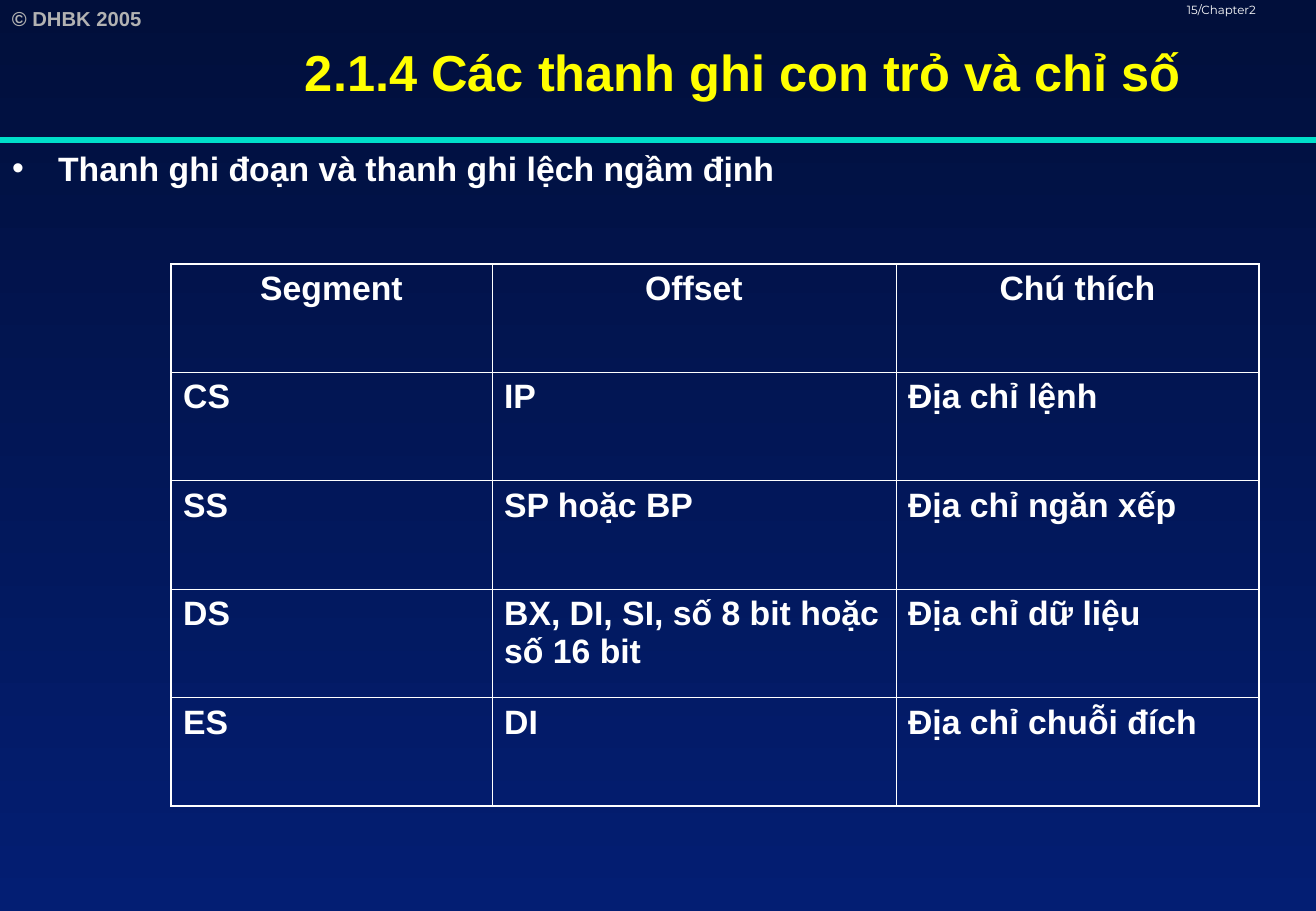
from lxml import etree
from pptx import Presentation
from pptx.dml.color import RGBColor
from pptx.enum.shapes import MSO_CONNECTOR
from pptx.enum.text import MSO_ANCHOR, MSO_AUTO_SIZE, PP_ALIGN
from pptx.oxml.ns import qn
from pptx.util import Pt

PX = 7532
LEFT, CENTER = PP_ALIGN.LEFT, PP_ALIGN.CENTER
TOP, MIDDLE = MSO_ANCHOR.TOP, MSO_ANCHOR.MIDDLE
NO_FIT = MSO_AUTO_SIZE.NONE
STRAIGHT = MSO_CONNECTOR.STRAIGHT

COLORS = {
    "sky_top": "010F3B",
    "sky_bottom": "031E73",
    "rule": "00DFCA",
    "title": "FFFF00",
    "text": "FFFFFF",
    "copyright": "B2B2B2",
}
WIDTH, HEIGHT = 1316, 911
RULE_Y = 140
CONTENT_TOP = 142
TABLE_LEFT, TABLE_TOP, TABLE_HEIGHT = 171, 264, 542
COLUMN_WIDTHS = [321, 404, 363]
OUTER_LINE, INNER_LINE = 1.08, 0.45
REGISTERS = [
    ["Segment", "Offset", "Chú thích"],
    ["CS", "IP", "Địa chỉ lệnh"],
    ["SS", "SP hoặc BP", "Địa chỉ ngăn xếp"],
    ["DS", "BX, DI, SI, số 8 bit hoặc số 16 bit", "Địa chỉ dữ liệu"],
    ["ES", "DI", "Địa chỉ chuỗi đích"],
]


def rgb(name):
    return RGBColor.from_string(COLORS[name])


def place(shape, left, top, width, height):
    shape.left, shape.top = left * PX, top * PX
    shape.width, shape.height = width * PX, height * PX


def write(frame, text, size, color="text", bold=True, align=LEFT, font="Arial"):
    frame.word_wrap = True
    frame.text = text
    para = frame.paragraphs[0]
    para.alignment = align
    para.space_before = Pt(0)
    para.font.name = font
    para.font.size = Pt(size)
    para.font.bold = bold
    para.font.color.rgb = rgb(color)
    return para


def paint_background(page):
    fill = page.background.fill
    fill.gradient()
    fill.gradient_angle = 270
    for stop, name in zip(fill.gradient_stops, ["sky_top", "sky_bottom"]):
        stop.color.rgb = rgb(name)


def add_rule(page):
    rule = page.shapes.add_connector(STRAIGHT, 0, RULE_Y * PX, WIDTH * PX, RULE_Y * PX)
    rule.line.color.rgb = rgb("rule")
    rule.line.width = Pt(3)
    etree.SubElement(rule._element.spPr, qn("a:effectLst"))


def add_label(page, bounds, text, size, **style):
    box = page.shapes.add_textbox(*(value * PX for value in bounds))
    return write(box.text_frame, text, size, **style)


def fill_placeholder(holder, bounds, anchor, text, size, **style):
    place(holder, *bounds)
    frame = holder.text_frame
    frame.auto_size = NO_FIT
    frame.vertical_anchor = anchor
    return write(frame, text, size, **style)


def add_bullet(para, indent):
    props = para._p.get_or_add_pPr()
    props.set("marL", str(indent * PX))
    props.set("indent", str(-indent * PX))
    color = etree.Element(qn("a:buClr"))
    etree.SubElement(color, qn("a:srgbClr"), val=COLORS["text"])
    font = etree.Element(qn("a:buFont"), typeface="Arial")
    mark = etree.Element(qn("a:buChar"), char="•")
    defaults = props.find(qn("a:defRPr"))
    for part in (color, font, mark):
        defaults.addprevious(part)


def add_borders(cell, widths):
    props = cell._tc.get_or_add_tcPr()
    for side, width in widths.items():
        line = etree.SubElement(props, qn("a:ln" + side), w=str(Pt(width)))
        fill = etree.SubElement(line, qn("a:solidFill"))
        etree.SubElement(fill, qn("a:srgbClr"), val=COLORS["text"])


def add_register_table(page):
    row_count, column_count = len(REGISTERS), len(COLUMN_WIDTHS)
    table = page.shapes.add_table(
        row_count, column_count, TABLE_LEFT * PX, TABLE_TOP * PX,
        sum(COLUMN_WIDTHS) * PX, TABLE_HEIGHT * PX,
    ).table
    table.first_row = table.horz_banding = False
    for column, width in zip(table.columns, COLUMN_WIDTHS):
        column.width = width * PX
    for r, texts in enumerate(REGISTERS):
        for c, text in enumerate(texts):
            cell = table.cell(r, c)
            write(cell.text_frame, text, 20, align=CENTER if r == 0 else LEFT)
            on_edge = {
                "L": c == 0,
                "R": c == column_count - 1,
                "T": r == 0,
                "B": r == row_count - 1,
            }
            add_borders(cell, {side: OUTER_LINE if edge else INNER_LINE
                               for side, edge in on_edge.items()})
            cell.fill.background()


def main():
    deck = Presentation()
    deck.slide_width, deck.slide_height = WIDTH * PX, HEIGHT * PX
    page = deck.slides.add_slide(deck.slide_layouts[1])
    paint_background(page)
    add_label(page, (0, 0, 191, 37), "© DHBK 2005", 12, color="copyright")
    add_rule(page)
    chapter = add_label(page, (1175, 0, 192 - 51, 30), "15/Chapter2", 7,
                        bold=False, font="Montserrat")
    chapter.line_spacing = 0.8
    fill_placeholder(page.shapes.title, (171, 0, WIDTH - 171, CONTENT_TOP), MIDDLE,
                     "2.1.4 Các thanh ghi con trỏ và chỉ số", 30,
                     color="title", align=CENTER)
    body = fill_placeholder(page.placeholders[1],
                            (0, CONTENT_TOP, WIDTH, HEIGHT - CONTENT_TOP), TOP,
                            "Thanh ghi đoạn và thanh ghi lệch ngầm định", 20)
    add_bullet(body, 46)
    add_register_table(page)
    deck.save("out.pptx")


if __name__ == "__main__":
    main()
